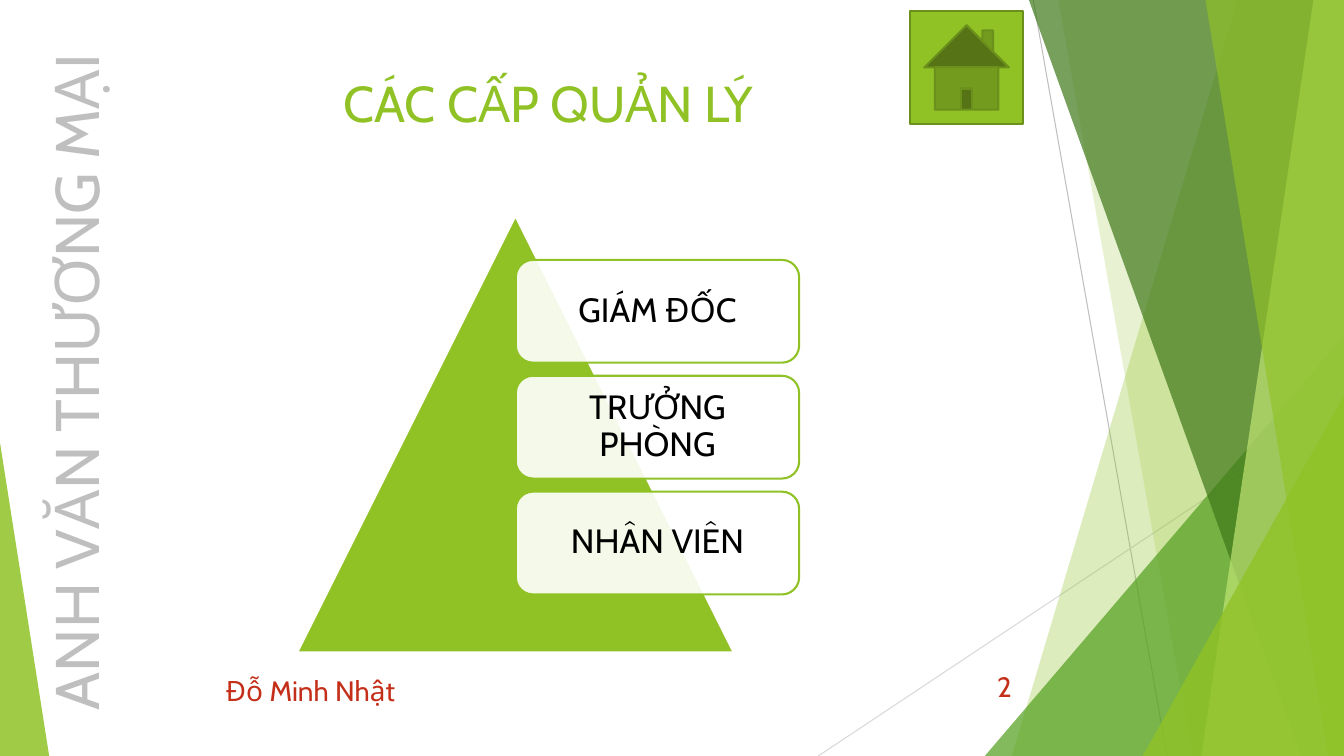
"""Builds the management levels slide: a pyramid with three labelled boxes."""
from lxml import etree
from pptx import Presentation
from pptx.dml.color import RGBColor
from pptx.enum.shapes import MSO_CONNECTOR, MSO_SHAPE
from pptx.enum.text import MSO_ANCHOR, PP_ALIGN
from pptx.oxml.ns import qn
from pptx.util import Cm, Pt

TITLE = "CÁC CẤP QUẢN LÝ"
SIDE_TITLE = "ANH VĂN THƯƠNG MẠI"
LEVELS = ["GIÁM ĐỐC", "TRƯỞNG PHÒNG", "NHÂN VIÊN"]
AUTHOR = "Đỗ Minh Nhật"
PAGE_NUMBER = "2"

FONT = "Cabin"
COLORS = {
    "lime": "90C226", "green": "54A021", "forest": "3F7819", "pale": "C0E474",
    "olive": "6B901C", "white": "FFFFFF", "black": "000000",
    "gray": "BFBFBF", "light gray": "D9D9D9", "red": "C42F1A",
}
WIDTH, HEIGHT = 33.87, 19.05

RAYS = [
    ((26.04, 0), (29.41, HEIGHT), "gray"),
    ((WIDTH, 10.24), (20.62, HEIGHT), "light gray"),
]
# DECOR
DECOR = [
    ("band", (31.19, 25.5), "lime", 30),
    ("band", (26.67, 30.05), "lime", 20),
    ("right", (9.05, 10.59), "green", 72),
    ("band", (25.93, 32.79), "forest", 70),
    ("band", (33.1, 30.28), "pale", 70),
    ("band", (30.38, 33.48), "lime", 65),
    ("right", (5.07, 9.07), "lime", 80),
    ("left", (1.24, 7.9), "lime", 85),
]
PYRAMID = (7.49, 5.44, 11, 11)
LEVEL_LEFT, LEVEL_TOP, LEVEL_WIDTH, LEVEL_HEIGHT = 13, 6.55, 7.14, 2.59
LEVEL_STEP = 2.92

TRIANGLE = MSO_SHAPE.ISOSCELES_TRIANGLE
ROUNDED = MSO_SHAPE.ROUNDED_RECTANGLE
HOME = MSO_SHAPE.ACTION_BUTTON_HOME
STRAIGHT = MSO_CONNECTOR.STRAIGHT
TOP, MIDDLE = MSO_ANCHOR.TOP, MSO_ANCHOR.MIDDLE
LEFT, CENTER, RIGHT = PP_ALIGN.LEFT, PP_ALIGN.CENTER, PP_ALIGN.RIGHT


def rgb(name):
    return RGBColor.from_string(COLORS[name])


def paint(shape, fill, opacity=100, line=None):
    shape.shadow.inherit = False
    shape.fill.solid()
    shape.fill.fore_color.rgb = rgb(fill)
    if opacity < 100:
        color = shape.fill._xPr.find(qn("a:solidFill"))[0]
        etree.SubElement(color, qn("a:alpha"), val=str(opacity * 1000))
    if line:
        shape.line.color.rgb = rgb(line)
        shape.line.width = Pt(1.5)
    else:
        shape.line.fill.background()


def add_shape(slide, kind, box, fill, opacity=100, line=None):
    shape = slide.shapes.add_shape(kind, *map(Cm, box))
    paint(shape, fill, opacity, line)
    return shape


def write(shape, text, size, color, align, anchor=MIDDLE):
    frame = shape.text_frame
    frame.word_wrap = True
    frame.vertical_anchor = anchor
    paragraph = frame.paragraphs[0]
    paragraph.text = text
    paragraph.alignment = align
    paragraph.font.name = FONT
    paragraph.font.size = Pt(size)
    paragraph.font.color.rgb = rgb(color)
    return paragraph


def add_text(slide, box, *style):
    shape = slide.shapes.add_textbox(*map(Cm, box))
    write(shape, *style)
    return shape


def add_backdrop(slide):
    for start, end, color in RAYS:
        ray = slide.shapes.add_connector(STRAIGHT, *map(Cm, start + end))
        ray.line.color.rgb = rgb(color)
        ray.line.width = Pt(0.75)
        etree.SubElement(ray._element.spPr, qn("a:effectLst"))
    for kind, (first, second), color, opacity in DECOR:
        if kind == "band":
            builder = slide.shapes.build_freeform(Cm(first), 0)
            corners = [(WIDTH, 0), (WIDTH, HEIGHT), (second, HEIGHT)]
            builder.add_line_segments([(Cm(x), Cm(y)) for x, y in corners])
            paint(builder.convert_to_shape(), color, opacity)
        else:
            left = WIDTH - first if kind == "right" else 0
            box = (left, HEIGHT - second, first, second)
            triangle = add_shape(slide, TRIANGLE, box, color, opacity)
            triangle.adjustments[0] = 1 if kind == "right" else 0


def add_levels(slide):
    add_shape(slide, TRIANGLE, PYRAMID, "lime", line="white")
    for index, label in enumerate(LEVELS):
        top = LEVEL_TOP + index * LEVEL_STEP
        box = (LEVEL_LEFT, top, LEVEL_WIDTH, LEVEL_HEIGHT)
        level = add_shape(slide, ROUNDED, box, "white", 90, "lime")
        write(level, label, 24, "black", CENTER).line_spacing = 0.9


def main():
    presentation = Presentation()
    presentation.slide_width, presentation.slide_height = Cm(WIDTH), Cm(HEIGHT)
    slide = presentation.slides.add_slide(presentation.slide_layouts[5])
    add_backdrop(slide)

    title = slide.shapes.title
    title.left, title.top, title.width, title.height = map(Cm, (1.88, 1.7, 23.88, 2.31))
    write(title, TITLE, 36, "lime", CENTER, TOP)

    side_title = add_text(slide, (-6.96, 8.56, 17.7, 2.13),
                          SIDE_TITLE, 44, "gray", CENTER, TOP)
    side_title.rotation = 270

    add_levels(slide)
    add_shape(slide, HOME, (22.94, 0.28, 2.84, 2.84), "lime", line="olive")
    add_text(slide, (5.44, 16.89, 17.5, 1.02), AUTHOR, 20, "red", LEFT)
    add_text(slide, (23.85, 16.79, 1.9, 1.02), PAGE_NUMBER, 20, "red", RIGHT)
    presentation.save("out.pptx")


if __name__ == "__main__":
    main()
